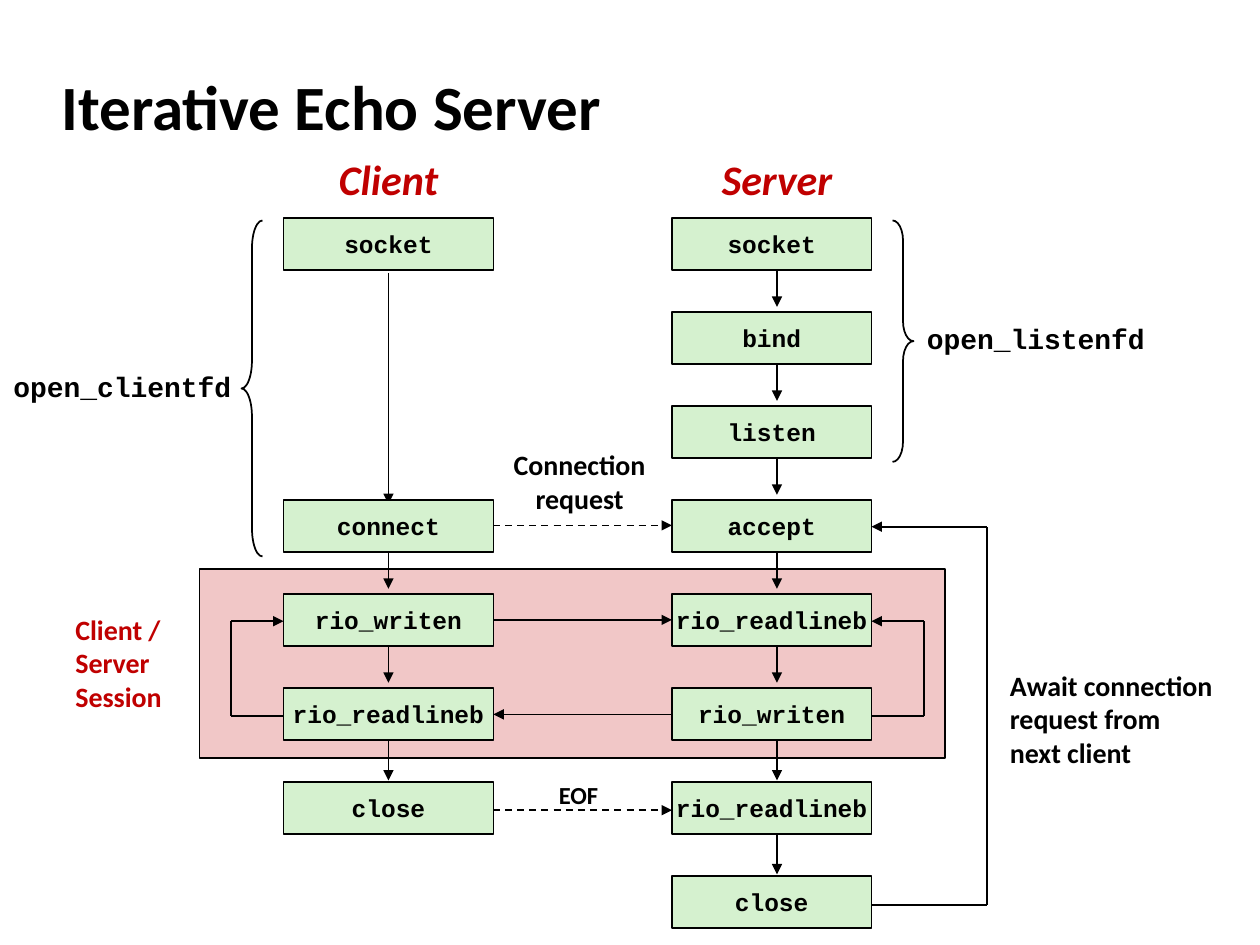
from itertools import pairwise

from lxml import etree
from pptx import Presentation
from pptx import util as u
from pptx.dml.color import RGBColor
from pptx.enum import dml, shapes, text
from pptx.oxml.ns import qn

BLACK, RED, GREEN, PINK = "000000", "C00000", "D5F1CF", "F1C7C7"
SANS, MONO = "Calibri", "Courier New"
SHAPE = shapes.MSO_SHAPE
LEFT, CENTER = text.PP_ALIGN.LEFT, text.PP_ALIGN.CENTER

# Grid of 120 columns by 90 rows
CLIENT_LEFT, CLIENT_WIDTH, CLIENT_AXIS = 27, 20, 37
SERVER_LEFT, SERVER_WIDTH, SERVER_AXIS = 64, 19, 74
CLIENT_RIGHT = CLIENT_LEFT + CLIENT_WIDTH
SERVER_RIGHT = SERVER_LEFT + SERVER_WIDTH
BOX_HEIGHT, FIRST_TOP = 5, 20.76
STEP = (83.4 - FIRST_TOP) / 7

CLIENT_CALLS = {0: "socket", 3: "connect", 4: "rio_writen",
                5: "rio_readlineb", 6: "close"}
SERVER_CALLS = dict(enumerate(["socket", "bind", "listen", "accept", "rio_readlineb",
                               "rio_writen", "rio_readlineb", "close"]))


def color(code):
    """Turn a hex string into a colour."""
    return RGBColor.from_string(code)


def top(level):
    """Give the top row of the boxes on a level."""
    return FIRST_TOP + level * STEP


class Diagram:
    """Hold the style and the slide, and draw the elements."""

    def __init__(self, presentation):
        """Add a blank slide and work out the grid."""
        self.slide = presentation.slides.add_slide(presentation.slide_layouts[6])
        self.column = presentation.slide_width / 120
        self.row = presentation.slide_height / 90

    def place(self, x, y):
        """Turn columns and rows into slide lengths."""
        return u.Emu(round(x * self.column)), u.Emu(round(y * self.row))

    def fill_text(self, frame, lines, size, font, ink=BLACK, align=CENTER,
                  italic=False, wrap=False):
        """Put one paragraph per line into a text frame."""
        frame.word_wrap = wrap
        frame.vertical_anchor = text.MSO_ANCHOR.MIDDLE
        for index, line in enumerate(lines):
            paragraph = frame.paragraphs[0] if index == 0 else frame.add_paragraph()
            paragraph.alignment = align
            run = paragraph.add_run()
            run.text = line
            run.font.name, run.font.size = font, u.Pt(size)
            run.font.bold, run.font.italic = True, italic
            run.font.color.rgb = color(ink)

    def label(self, x, y, width, height, lines, size=16, font=SANS, **style):
        """Add a text box."""
        box = self.slide.shapes.add_textbox(*self.place(x, y), *self.place(width, height))
        self.fill_text(box.text_frame, lines, size, font, **style)

    def shape(self, kind, x, y, width, height, fill=None):
        """Add an outlined preset shape."""
        shape = self.slide.shapes.add_shape(kind, *self.place(x, y),
                                            *self.place(width, height))
        shape.shadow.inherit = False
        if fill:
            shape.fill.solid()
            shape.fill.fore_color.rgb = color(fill)
        else:
            shape.fill.background()
        shape.line.color.rgb = color(BLACK)
        shape.line.width = u.Pt(1)
        return shape

    def calls(self, x, width, names):
        """Add a column of boxes, each with a function name."""
        for level, name in names.items():
            box = self.shape(SHAPE.RECTANGLE, x, top(level), width, BOX_HEIGHT, GREEN)
            self.fill_text(box.text_frame, [name], 14, MONO)

    def brace(self, kind, x, y, height, curve):
        """Add a brace two columns wide."""
        brace = self.shape(kind, x, y, 2, height)
        brace.adjustments[0], brace.adjustments[1] = curve, 0.5

    def route(self, *points, dashed=False):
        """Join points by lines, with an arrowhead at the last one."""
        for start, end in pairwise(points):
            line = self.slide.shapes.add_connector(
                shapes.MSO_CONNECTOR.STRAIGHT, *self.place(*start), *self.place(*end))
            line.line.color.rgb = color(BLACK)
            line.line.width = u.Pt(1)
            if dashed:
                line.line.dash_style = dml.MSO_LINE.DASH
            properties = line._element.spPr
            if end == points[-1]:
                etree.SubElement(properties.find(qn("a:ln")), qn("a:tailEnd"),
                                 type="triangle")
            etree.SubElement(properties, qn("a:effectLst"))

    def down(self, axis, levels):
        """Add an arrow from each level to the next one."""
        for level in levels:
            start, gap = (4.44, 0.48) if level < 5 else (4.8, 0.12)
            self.route((axis, top(level) + start), (axis, top(level + 1) - gap))


def main():
    """Build the slide and save it."""
    presentation = Presentation()
    presentation.slide_width, presentation.slide_height = u.Inches(10), u.Inches(7.5)
    diagram = Diagram(presentation)

    # Session panel with its two loops
    diagram.shape(SHAPE.RECTANGLE, 19, 54.2, 71, 18, PINK)
    for edge, side in ((SERVER_RIGHT, 88), (CLIENT_LEFT, 22)):
        diagram.route((edge, 68.16), (side, 68.16), (side, 59.16), (edge, 59.16))
    diagram.label(6, 57.7, 11, 10.8, ["Client / Server", "Session"],
                  ink=RED, align=LEFT, wrap=True)

    # Headings
    diagram.label(4.7, 5, 99.6, 10, ["Iterative Echo Server"], 36, align=LEFT, wrap=True)
    diagram.label(31, 14, 12, 6, ["Client"], 24, ink=RED, italic=True)
    diagram.label(67.5, 14, 13, 6, ["Server"], 24, ink=RED, italic=True)

    # Control flow and messages
    diagram.route((CLIENT_AXIS, 26), (CLIENT_AXIS, 48))
    diagram.down(CLIENT_AXIS, range(3, 6))
    diagram.down(SERVER_AXIS, range(7))
    for y in (50.04, 77.16):
        diagram.route((40, y), (SERVER_LEFT, y), dashed=True)
    diagram.route((CLIENT_RIGHT, 59.04), (SERVER_LEFT, 59.04))
    diagram.route((SERVER_LEFT, 68.04), (CLIENT_RIGHT, 68.04))
    diagram.route((SERVER_RIGHT, 86.16), (94, 86.16), (94, 50.16), (SERVER_RIGHT, 50.16))

    # Function calls
    diagram.calls(CLIENT_LEFT, CLIENT_WIDTH, CLIENT_CALLS)
    diagram.calls(SERVER_LEFT, SERVER_WIDTH, SERVER_CALLS)

    # Notes and braces
    diagram.label(47.6, 42, 15.2, 7.7, ["Connection", "request"])
    diagram.label(52, 73.6, 6.2, 4.1, ["EOF"], 14)
    diagram.label(95, 63, 22, 10.9, ["Await connection", "request from", "next client"],
                  align=LEFT)
    diagram.brace(SHAPE.RIGHT_BRACE, 85, 21, 23, 0.96)
    diagram.label(87, 30, 23.3, 4.4, ["open_listenfd"], font=MONO)
    diagram.brace(SHAPE.LEFT_BRACE, 23, 21, 32, 1.33)
    diagram.label(0, 34.6, 23.3, 4.4, ["open_clientfd"], font=MONO)

    presentation.save("out.pptx")


main()
